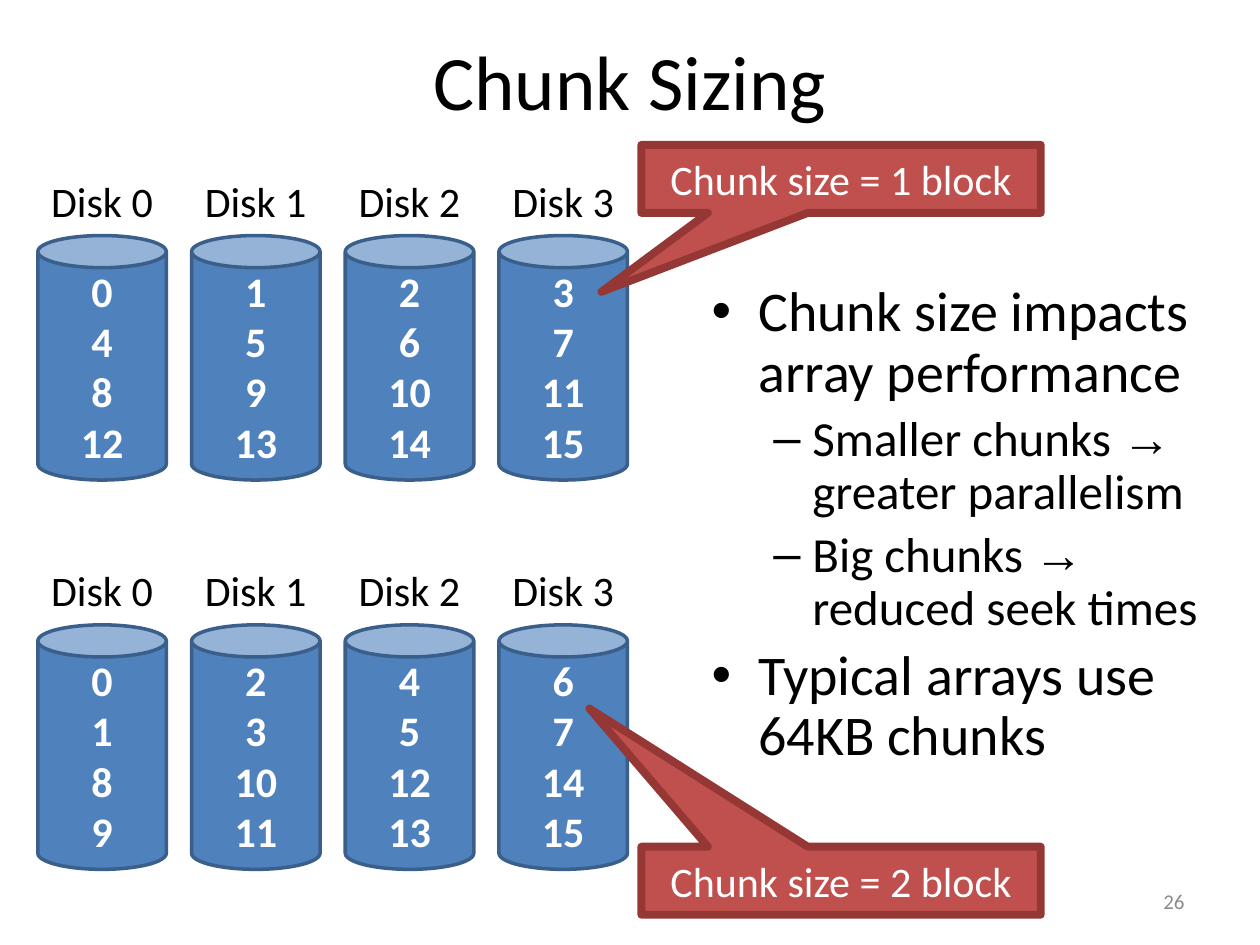
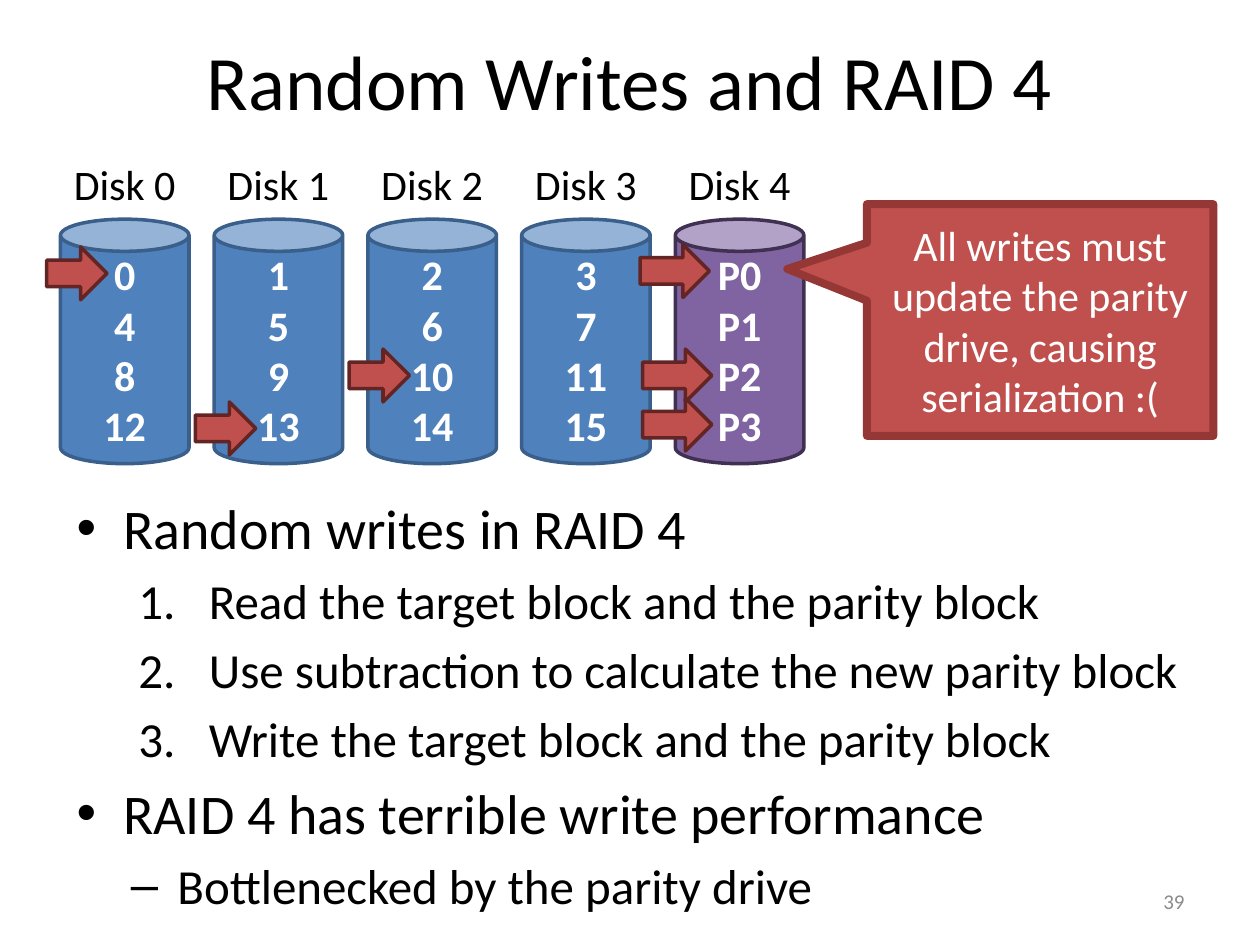
"""Build two slides on disk arrays: chunk sizing and random writes."""
import pptx
import pptx.util
import pptx.dml.color
import pptx.enum.shapes
import pptx.enum.text
import pptx.oxml.ns
from lxml import etree

Inches = pptx.util.Inches
Pt = pptx.util.Pt
SHAPE = pptx.enum.shapes.MSO_SHAPE
ALIGN = pptx.enum.text.PP_ALIGN
ANCHOR = pptx.enum.text.MSO_ANCHOR
qn = pptx.oxml.ns.qn

HUES = {
    "ink": "000000", "pale": "FFFFFF", "gray": "8B8B8B",
    "blue": "4F81BD", "navy": "3A5F8B",
    "plum": "8064A2", "dusk": "403152",
    "red": "C0504D", "brick": "953735", "wine": "632523",
}

STYLES = {
    "title": {"size": Pt(44), "color": "ink"},
    "page": {"size": Pt(12), "color": "gray"},
    "label": {"size": Pt(24), "color": "ink"},
    "block": {"size": Pt(24), "color": "pale", "bold": True},
    "note": {"size": Pt(24), "color": "pale", "bold": False},
    "main": {"size": Pt(32), "color": "ink"},
    "sub": {"size": Pt(28), "color": "ink"},
}

KINDS = {
    "dot": {"style": "main", "level": 0, "left": 0.38, "indent": -0.37, "gap": 6.4, "sign": "•"},
    "dash": {"style": "sub", "level": 1, "left": 0.81, "indent": -0.31, "gap": 5.6, "sign": "–"},
    "wide": {"style": "sub", "level": 1, "left": 0.81, "indent": -0.37, "gap": 5.6, "sign": "–"},
    "step": {"style": "sub", "level": 1, "left": 1.06, "indent": -0.56, "gap": 5.6, "sign": None},
}

PITCH = 1.22
CAN = (1.02, 1.94)
RISE = 0.53
ARROW = 0.42

ONE = [["0", "4", "8", "12"], ["1", "5", "9", "13"],
       ["2", "6", "10", "14"], ["3", "7", "11", "15"]]
TWO = [["0", "1", "8", "9"], ["2", "3", "10", "11"],
       ["4", "5", "12", "13"], ["6", "7", "14", "15"]]
PARITY = ["P0", "P1", "P2", "P3"]

SLIDES = [
    {
        "title": "Chunk Sizing",
        "page": "26",
        "rows": [(0.3, 1.87, ONE), (0.3, 4.96, TWO)],
        "arrows": [],
        "notes": [
            ("Chunk size = 1 block", (5.09, 1.15, 3.17, 0.54), (-0.6, 1.66)),
            ("Chunk size = 2 block", (5.09, 6.72, 3.17, 0.54), (-0.63, -2.53)),
        ],
        "box": (5.54, 2.2, 4.23, 3.95),
        "pace": 0.9,
        "points": [
            ("dot", "Chunk size impacts array performance"),
            ("dash", "Smaller chunks → greater parallelism"),
            ("dash", "Big chunks → reduced seek times"),
            ("dot", "Typical arrays use 64KB chunks"),
        ],
    },
    {
        "title": "Random Writes and RAID 4",
        "page": "39",
        "rows": [(0.48, 1.74, ONE + [PARITY])],
        "arrows": [(0.37, 1.96, 0.48), (5.1, 2.77, 0.55), (5.1, 3.16, 0.55),
                   (5.08, 1.94, 0.55), (2.77, 2.77, 0.48), (1.55, 3.19, 0.48)],
        "notes": [
            ("All writes must update the parity drive, causing serialization :(",
             (6.88, 1.62, 2.75, 1.84), (-0.73, -0.22)),
        ],
        "box": (0.5, 3.87, 9, 3.54),
        "pace": 1.0,
        "points": [
            ("dot", "Random writes in RAID 4"),
            ("step", "Read the target block and the parity block"),
            ("step", "Use subtraction to calculate the new parity block"),
            ("step", "Write the target block and the parity block"),
            ("dot", "RAID 4 has terrible write performance"),
            ("wide", "Bottlenecked by the parity drive"),
        ],
    },
]


def hue(name):
    return pptx.dml.color.RGBColor.from_string(HUES[name])


def add_run(para, text, style, face="Calibri"):
    run = para.add_run()
    run.text = text
    run.font.name = face
    for key, value in STYLES[style].items():
        if key == "color":
            run.font.color.rgb = hue(value)
        else:
            setattr(run.font, key, value)


def fill_text(frame, lines, style, align=ALIGN.CENTER, **form):
    for key, value in {"word_wrap": True, "vertical_anchor": ANCHOR.MIDDLE, **form}.items():
        setattr(frame, key, value)
    for i, line in enumerate(lines):
        para = frame.add_paragraph() if i else frame.paragraphs[0]
        para.alignment = align
        add_run(para, line, style)


def add_box(slide, spot):
    return slide.shapes.add_textbox(*map(Inches, spot)).text_frame


def add_form(slide, kind, spot, fill, line, width, bends):
    form = slide.shapes.add_shape(kind, *map(Inches, spot))
    form.shadow.inherit = False
    form.fill.solid()
    form.fill.fore_color.rgb = hue(fill)
    form.line.color.rgb = hue(line)
    form.line.width = Pt(width)
    for i, bend in enumerate(bends):
        form.adjustments[i] = bend
    return form


def add_disks(slide, left, top, disks):
    for i, blocks in enumerate(disks):
        x = left + i * PITCH
        pair = ("plum", "dusk") if blocks is PARITY else ("blue", "navy")
        can = add_form(slide, SHAPE.CAN, (x, top, *CAN), *pair, 2, [0.25])
        fill_text(can.text_frame, blocks, "block")
        label = add_box(slide, (x + 0.01, top - RISE, 1, 0.5))
        fill_text(label, [f"Disk {i}"], "label", margin_left=0, margin_right=0,
                  vertical_anchor=ANCHOR.TOP)


def add_mark(para, left, indent, sign):
    props = para._p.get_or_add_pPr()
    props.set("marL", str(Inches(left)))
    props.set("indent", str(Inches(indent)))
    face = "Arial" if sign else "+mj-lt"
    etree.SubElement(props, qn("a:buFont")).set("typeface", face)
    if sign:
        etree.SubElement(props, qn("a:buChar")).set("char", sign)
    else:
        etree.SubElement(props, qn("a:buAutoNum")).set("type", "arabicPeriod")


def add_points(slide, spot, points, pace):
    frame = add_box(slide, spot)
    frame.word_wrap = True
    for i, (name, text) in enumerate(points):
        kind = KINDS[name]
        para = frame.add_paragraph() if i else frame.paragraphs[0]
        add_mark(para, kind["left"], kind["indent"], kind["sign"])
        form = {"level": kind["level"], "line_spacing": pace,
                "space_before": Pt(kind["gap"] if i else 0)}
        for key, value in form.items():
            setattr(para, key, value)
        head, arrow, tail = text.partition("→")
        for part, face in ((head, "Calibri"), (arrow, "Arial"), (tail, "Calibri")):
            if part:
                add_run(para, part, kind["style"], face)


def add_slide(deck, data):
    slide = deck.slides.add_slide(deck.slide_layouts[5])
    title = slide.shapes.title
    spot = {"left": 0.5, "top": 0.01, "width": 9, "height": 1.25}
    for key, value in spot.items():
        setattr(title, key, Inches(value))
    fill_text(title.text_frame, [data["title"]], "title")
    fill_text(add_box(slide, (7.17, 6.95, 2.33, 0.4)), [data["page"]], "page", ALIGN.RIGHT)
    for row in data["rows"]:
        add_disks(slide, *row)
    add_points(slide, data["box"], data["points"], data["pace"])
    for x, y, width in data["arrows"]:
        add_form(slide, SHAPE.RIGHT_ARROW, (x, y, width, ARROW), "red", "wine", 2, [0.5, 0.5])
    for text, spot, tip in data["notes"]:
        note = add_form(slide, SHAPE.RECTANGULAR_CALLOUT, spot, "red", "brick", 4.5, tip)
        fill_text(note.text_frame, [text], "note")


def main():
    deck = pptx.Presentation()
    deck.slide_width, deck.slide_height = Inches(10), Inches(7.5)
    for data in SLIDES:
        add_slide(deck, data)
    deck.save("out.pptx")


if __name__ == "__main__":
    main()
